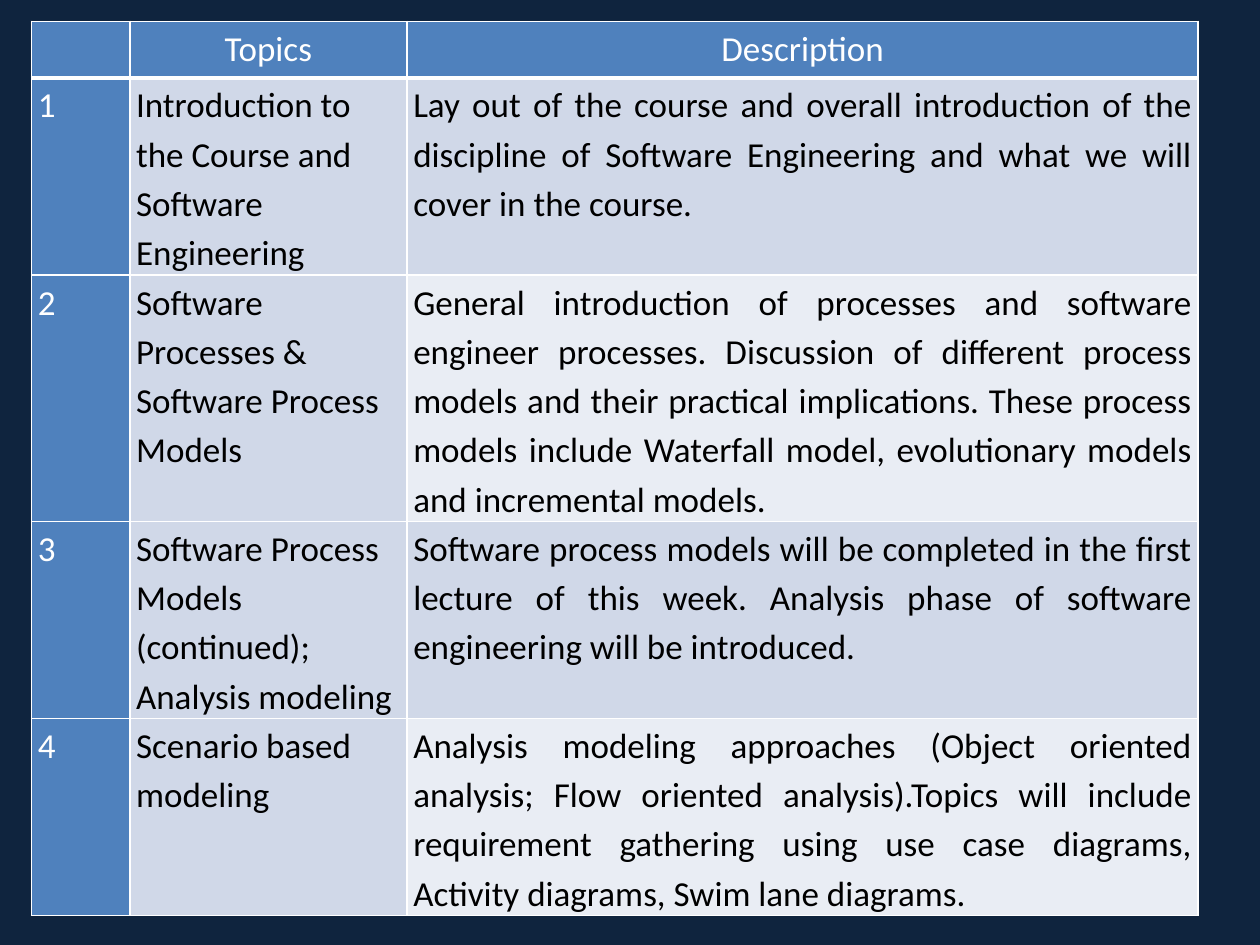
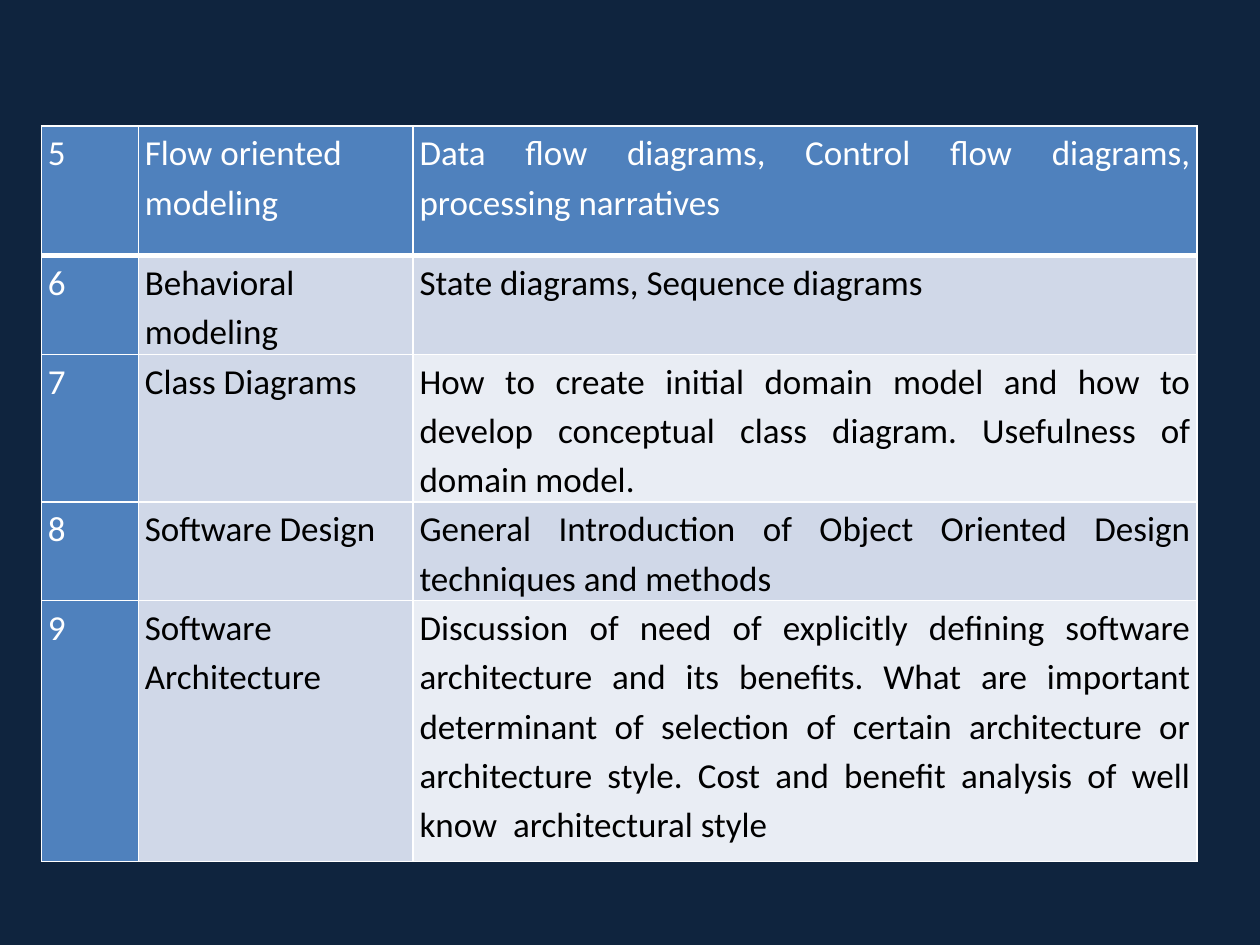
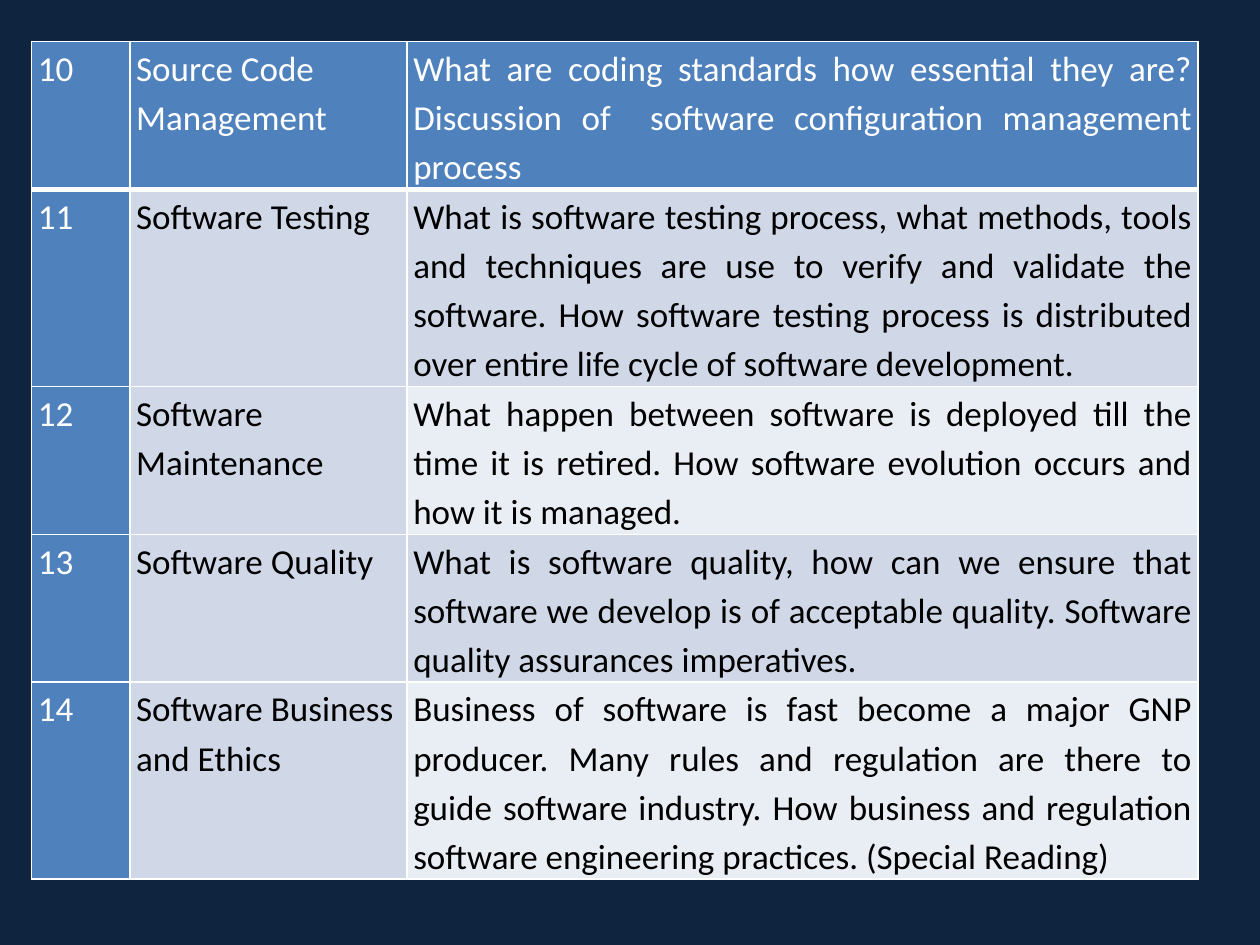
from dataclasses import dataclass

from lxml import etree
from pptx import Presentation
from pptx import util as u
from pptx.dml.color import RGBColor
from pptx.enum import text
from pptx.oxml import ns

NAVY = RGBColor(0x0F, 0x24, 0x3E)
BLUE = RGBColor(0x4F, 0x81, 0xBD)
BAND_DARK = RGBColor(0xD0, 0xD8, 0xE8)
BAND_LIGHT = RGBColor(0xE9, 0xED, 0xF4)
WHITE = RGBColor(0xFF, 0xFF, 0xFF)
BLACK = RGBColor(0x00, 0x00, 0x00)

FONT = "Calibri"
FONT_SIZE = u.Pt(20)
LINE_SPACING = 1.15
SIDE_MARGIN = u.Inches(0.05)
BORDER = u.Pt(1)
HEADER_RULE = u.Pt(3)


@dataclass(frozen=True)
class Week:
    number: str
    topic: str
    description: str
    height: float


@dataclass(frozen=True)
class Schedule:
    """One slide's table; its first row is drawn as the header."""
    left: float
    top: float
    columns: tuple[float, float, float]
    weeks: tuple[Week, ...]
    titled: bool = False


WIDE_COLUMNS = (0.78, 2.2, 6.28)

SCHEDULES = (
    Schedule(0.25, 0.17, WIDE_COLUMNS, (
        Week("", "Topics", "Description", 0.45),
        Week("1", "Introduction to the Course and Software Engineering",
             "Lay out of the course and overall introduction of the discipline of "
             "Software Engineering and what we will cover in the course.", 1.53),
        Week("2", "Software Processes & Software Process Models",
             "General introduction of processes and software engineer processes. "
             "Discussion of different process models and their practical implications. "
             "These process models include Waterfall model, evolutionary models and "
             "incremental models.", 1.92),
        Week("3", "Software Process Models (continued); Analysis modeling",
             "Software process models will be completed in the first lecture of this "
             "week. Analysis phase of software engineering will be introduced.", 1.53),
        Week("4", "Scenario based modeling",
             "Analysis modeling approaches (Object oriented analysis; Flow oriented "
             "analysis).Topics will include requirement gathering using use case "
             "diagrams, Activity diagrams, Swim lane diagrams.", 1.53),
    ), titled=True),
    Schedule(0.33, 1, (0.77, 2.18, 6.22), (
        Week("5", "Flow oriented modeling",
             "Data flow diagrams, Control flow diagrams, processing narratives", 1.03),
        Week("6", "Behavioral modeling", "State diagrams, Sequence diagrams", 0.75),
        Week("7", "Class Diagrams",
             "How to create initial domain model and how to develop conceptual class "
             "diagram. Usefulness of domain model.", 1.14),
        Week("8", "Software Design",
             "General Introduction of Object Oriented Design techniques and methods", 0.75),
        Week("9", "Software Architecture",
             "Discussion of need of explicitly defining software architecture and its "
             "benefits. What are important determinant of selection of certain "
             "architecture or architecture style. Cost and benefit analysis of well "
             "know  architectural style", 2.07),
    )),
    Schedule(0.25, 0.33, WIDE_COLUMNS, (
        Week("10", "Source Code Management",
             "What are coding standards how essential they are? Discussion of  software "
             "configuration management process", 1.15),
        Week("11", "Software Testing",
             "What is software testing process, what methods, tools and techniques are "
             "use to verify and validate the software. How software testing process is "
             "distributed over entire life cycle of software development.", 1.54),
        Week("12", "Software Maintenance",
             "What happen between software is deployed till the time it is retired. How "
             "software evolution occurs and how it is managed.", 1.15),
        Week("13", "Software Quality",
             "What is software quality, how can we ensure that software we develop is of "
             "acceptable quality. Software quality assurances imperatives.", 1.15),
        Week("14", "Software Business and Ethics",
             "Business of software is fast become a major GNP producer. Many rules and "
             "regulation are there to guide software industry. How business and "
             "regulation software engineering practices. (Special Reading)", 1.54),
    )),
)


def add_borders(cell, bottom: int) -> None:
    """Draw white cell borders; must run before the fill is set."""
    properties = cell._tc.get_or_add_tcPr()
    for side, width in (("L", BORDER), ("R", BORDER), ("T", BORDER), ("B", bottom)):
        line = etree.SubElement(properties, ns.qn(f"a:ln{side}"), w=str(int(width)))
        fill = etree.SubElement(line, ns.qn("a:solidFill"))
        etree.SubElement(fill, ns.qn("a:srgbClr"), val=str(WHITE))


def cell_fill(row: int, column: int) -> RGBColor:
    if row == 0 or column == 0:
        return BLUE
    return BAND_LIGHT if column == 2 and row % 2 == 0 else BAND_DARK


def cell_alignment(column: int, is_title: bool) -> text.PP_ALIGN:
    if is_title:
        return text.PP_ALIGN.CENTER
    return text.PP_ALIGN.JUSTIFY if column == 2 else text.PP_ALIGN.LEFT


def write_cell(cell, words: str, color: RGBColor, alignment: text.PP_ALIGN) -> None:
    cell.margin_left = cell.margin_right = SIDE_MARGIN
    cell.margin_top = cell.margin_bottom = 0
    paragraph = cell.text_frame.paragraphs[0]
    paragraph.alignment = alignment
    paragraph.line_spacing = LINE_SPACING
    run = paragraph.add_run()
    run.text = words
    run.font.name = FONT
    run.font.size = FONT_SIZE
    run.font.bold = False
    run.font.color.rgb = color


def add_schedule(slide, schedule: Schedule) -> None:
    weeks = schedule.weeks
    table = slide.shapes.add_table(
        len(weeks), len(schedule.columns),
        u.Inches(schedule.left), u.Inches(schedule.top),
        u.Inches(sum(schedule.columns)), u.Inches(sum(week.height for week in weeks)),
    ).table
    table.first_col = True
    for column, width in zip(table.columns, schedule.columns):
        column.width = u.Inches(width)

    for row, week in enumerate(weeks):
        table.rows[row].height = u.Inches(week.height)
        for column, words in enumerate((week.number, week.topic, week.description)):
            cell = table.cell(row, column)
            add_borders(cell, HEADER_RULE if row == 0 else BORDER)
            fill = cell_fill(row, column)
            cell.fill.solid()
            cell.fill.fore_color.rgb = fill
            if words:
                write_cell(cell, words, WHITE if fill == BLUE else BLACK,
                           cell_alignment(column, schedule.titled and row == 0))


def main() -> None:
    presentation = Presentation()
    presentation.slide_width = u.Inches(10)
    presentation.slide_height = u.Inches(7.5)
    blank_layout = presentation.slide_layouts[6]
    for schedule in SCHEDULES:
        slide = presentation.slides.add_slide(blank_layout)
        slide.background.fill.solid()
        slide.background.fill.fore_color.rgb = NAVY
        add_schedule(slide, schedule)
    presentation.save("out.pptx")


if __name__ == "__main__":
    main()
